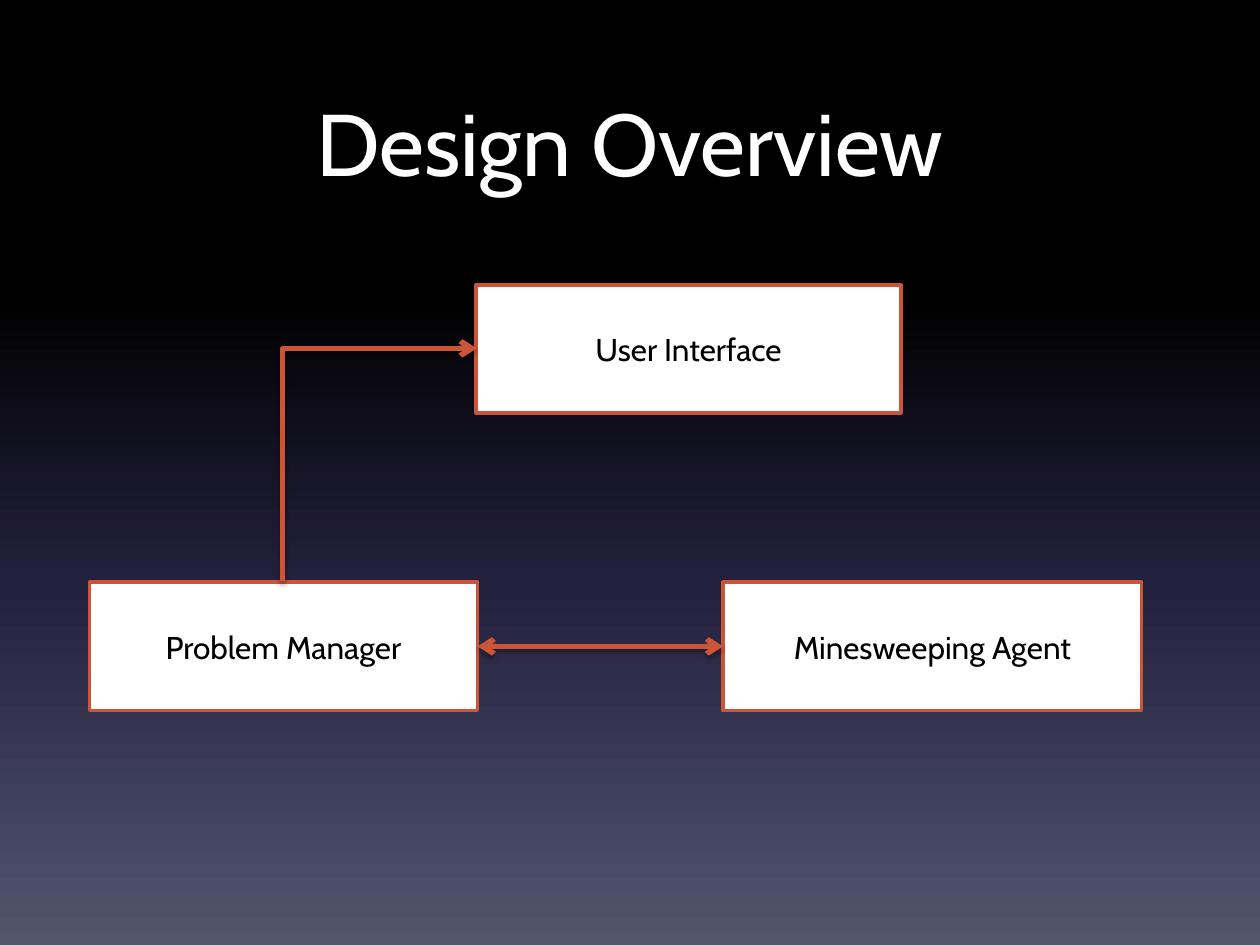
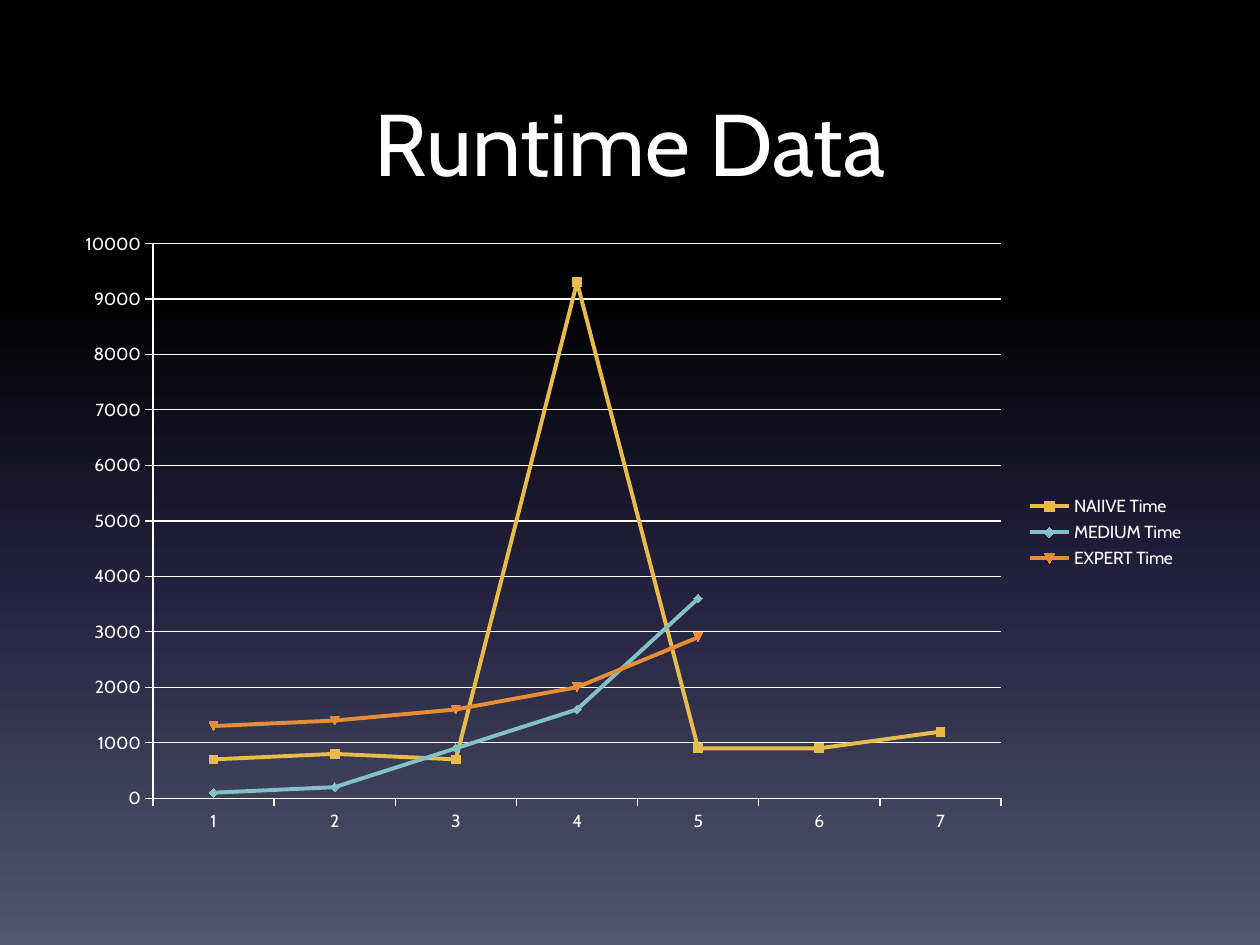
from copy import deepcopy

from pptx import Presentation
from pptx import util as u
from pptx.chart.data import CategoryChartData
from pptx.dml.color import RGBColor
from pptx.enum import chart as ch, shapes, text
from pptx.oxml import parse_xml
from pptx.oxml.ns import nsdecls, qn

Inches, Pt = u.Inches, u.Pt
FONT = "Cabin"
WHITE = RGBColor(0xFF, 0xFF, 0xFF)
BLACK = RGBColor(0, 0, 0)
RUST = RGBColor(0xCC, 0x54, 0x39)
NAVY = RGBColor(0x24, 0x21, 0x3E)
SLATE = RGBColor(0x51, 0x56, 0x6D)
YELLOW = RGBColor(0xE8, 0xBC, 0x4A)
TEAL = RGBColor(0x83, 0xC1, 0xC6)
ORANGE = RGBColor(0xE7, 0x8D, 0x35)


def add_text(tf, words, size, color):
    p = tf.paragraphs[0]
    p.alignment = text.PP_ALIGN.CENTER
    r = p.add_run()
    r.text = words
    r.font.name, r.font.size = FONT, Pt(size)
    r.font.color.rgb = color


def style_arrow(line, ends):
    line.line.color.rgb = RUST
    line.line.width = Pt(3)
    ln = line.line._get_or_add_ln()
    for end in ends:
        ln.append(parse_xml(f'<a:{end} {nsdecls("a")} type="arrow"/>'))
    line._element.spPr.append(parse_xml(
        f'<a:effectLst {nsdecls("a")}><a:outerShdw blurRad="{Pt(3.1)}" '
        f'dist="{Pt(1.8)}" dir="5400000" rotWithShape="0"><a:srgbClr val="000000">'
        '<a:alpha val="35000"/></a:srgbClr></a:outerShdw></a:effectLst>'))


prs = Presentation()
prs.slide_width, prs.slide_height = Inches(10), Inches(7.5)

# Shared background: vertical gradient on the master
fill = prs.slide_master.background.fill
fill.gradient()
fill.gradient_angle = 270
stop_list = next(prs.slide_master.element.iter(qn("a:gsLst")))
for _ in range(2):
    stop_list.append(deepcopy(stop_list[0]))
stops = [(0, BLACK), (0.31, BLACK), (0.62, NAVY), (1, SLATE)]
for stop, (position, color) in zip(fill.gradient_stops, stops):
    stop.position = position
    stop.color.rgb = color

# Slides and their titles
slides = []
for title in ("Design Overview", "Runtime Data"):
    s = prs.slides.add_slide(prs.slide_layouts[5])
    sp = s.shapes.title
    sp.left, sp.top, sp.width, sp.height = map(Inches, (0.5, 0.5, 9, 1.25))
    sp.text_frame.vertical_anchor = text.MSO_ANCHOR.MIDDLE
    add_text(sp.text_frame, title, 50, WHITE)
    slides.append(s)
design, runtime = slides

# Design Overview: component boxes
boxes = []
for name, left, top, width in (
    ("Problem Manager", 0.71, 4.62, 3.08),
    ("User Interface", 3.78, 2.26, 3.37),
    ("Minesweeping Agent", 5.74, 4.62, 3.32),
):
    sp = design.shapes.add_shape(shapes.MSO_SHAPE.RECTANGLE, Inches(left), Inches(top),
                                 Inches(width), Inches(1.02))
    sp.shadow.inherit = False
    sp.fill.solid()
    sp.fill.fore_color.rgb = WHITE
    sp.line.color.rgb = RUST
    sp.line.width = Pt(2)
    sp.text_frame.vertical_anchor = text.MSO_ANCHOR.MIDDLE
    add_text(sp.text_frame, name, 18, BLACK)
    boxes.append(sp)
manager, interface, agent = boxes

# Two-way arrow between manager and agent
link = design.shapes.add_connector(shapes.MSO_CONNECTOR.STRAIGHT, 0, 0, 0, 0)
link.begin_connect(manager, 3)
link.end_connect(agent, 1)
style_arrow(link, ("headEnd", "tailEnd"))

# One-bend arrow: up from the manager, then right to the interface
elbow = design.shapes.add_connector(shapes.MSO_CONNECTOR.ELBOW, 0, 0, 0, 0)
elbow.begin_connect(manager, 0)
elbow.end_connect(interface, 1)
elbow.left, elbow.top, elbow.width, elbow.height = map(Inches, (2.09, 2.92, 1.85, 1.54))
spPr = elbow._element.spPr
for key, value in (("rot", "5400000"), ("flipH", "1"), ("flipV", "1")):
    spPr.find(qn("a:xfrm")).set(key, value)
spPr.find(qn("a:prstGeom")).set("prst", "bentConnector2")
style_arrow(elbow, ("tailEnd",))

# Runtime Data: line chart
series = [
    ("NAIIVE Time", YELLOW, (700, 800, 700, 9300, 900, 900, 1200)),
    ("MEDIUM Time", TEAL, (100, 200, 900, 1600, 3600)),
    ("EXPERT Time", ORANGE, (1300, 1400, 1600, 2000, 2900)),
]
data = CategoryChartData()
data.categories = [str(n) for n in range(1, 8)]
for name, _, values in series:
    data.add_series(name, values)
chart = runtime.shapes.add_chart(ch.XL_CHART_TYPE.LINE_MARKERS, Inches(0.5), Inches(1.75),
                                 Inches(9), Inches(4.95), data).chart
chart.has_title = False
chart.font.name, chart.font.size = FONT, Pt(10)
chart.font.color.rgb = WHITE
chart.has_legend = True
chart.legend.position = ch.XL_LEGEND_POSITION.RIGHT
chart.legend.include_in_layout = False

for plot_line, (_, color, _) in zip(chart.plots[0].series, series):
    plot_line.smooth = False
    plot_line.format.line.color.rgb = color
    plot_line.format.line.width = Pt(2.25)
    mark = plot_line.marker.format
    mark.fill.solid()
    mark.fill.fore_color.rgb = color
    mark.line.color.rgb = color

# Axes and gridlines
axis = chart.value_axis
axis.minimum_scale, axis.maximum_scale, axis.major_unit = 0, 10000, 1000
axis.has_major_gridlines = True
chart.category_axis.has_major_gridlines = False
for ax in (axis, chart.category_axis):
    ax.major_tick_mark = ch.XL_TICK_MARK.OUTSIDE
    ax.minor_tick_mark = ch.XL_TICK_MARK.NONE
for item in (axis, chart.category_axis, axis.major_gridlines):
    item.format.line.color.rgb = WHITE
    item.format.line.width = Pt(0.75)

prs.save("out.pptx")
